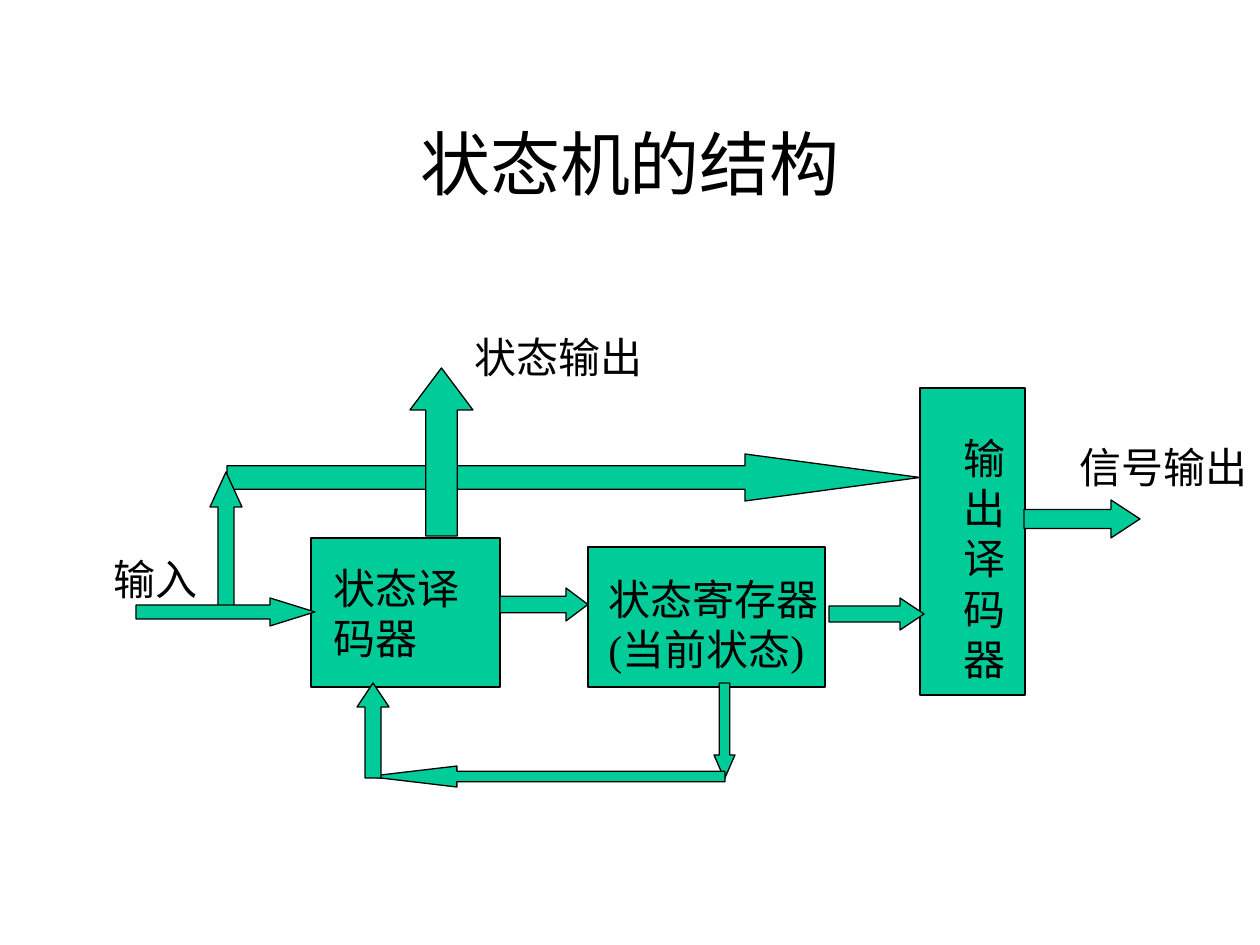
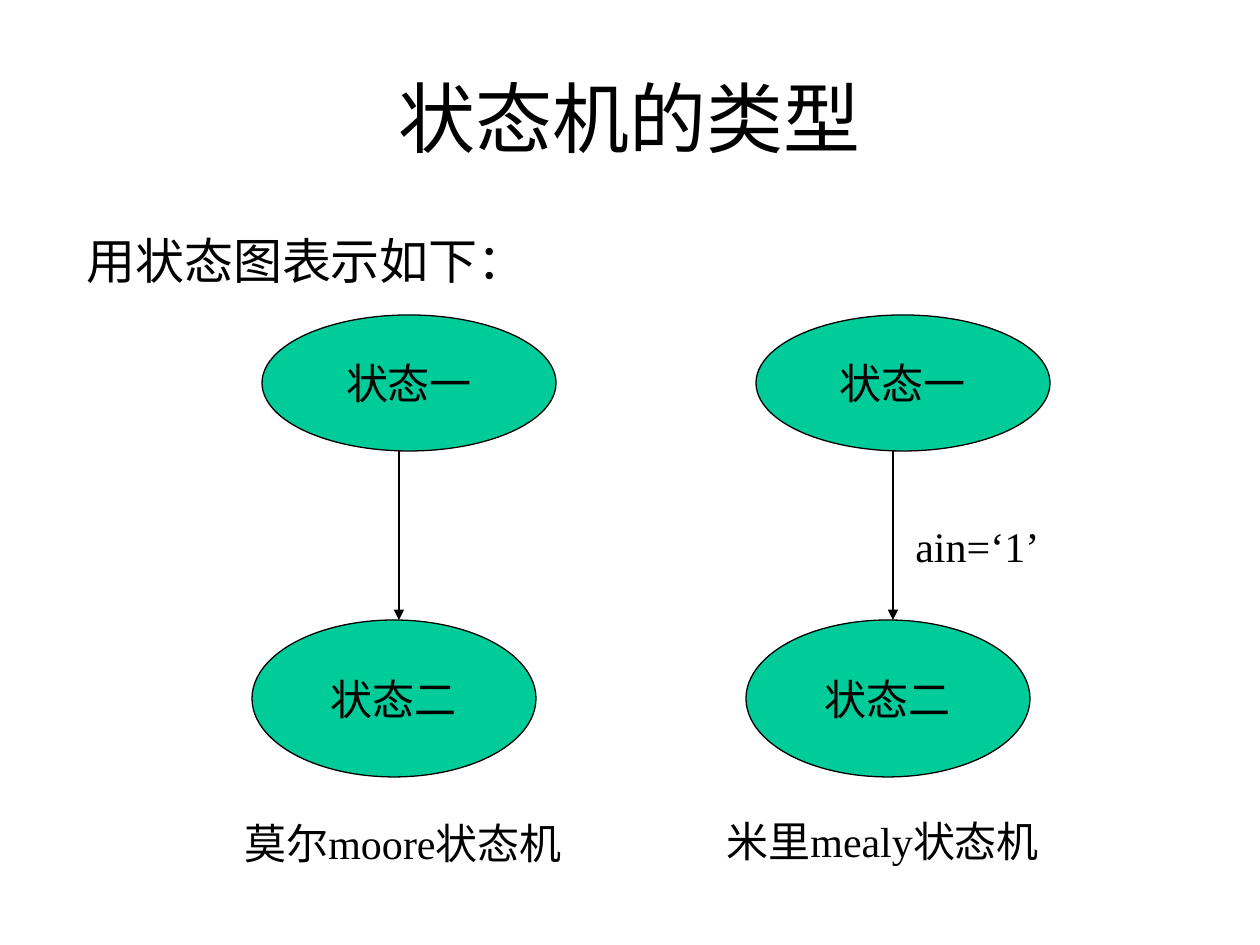
from pptx import Presentation
from pptx.dml.color import RGBColor
from pptx.enum.shapes import MSO_CONNECTOR, MSO_SHAPE as SHAPE
from pptx.enum.text import MSO_ANCHOR as ANCHOR, MSO_AUTO_SIZE as FIT, PP_ALIGN as ALIGN
from pptx.oxml.ns import qn
from pptx.util import Emu, Pt
from lxml.etree import SubElement

COLORS = {"fill": "00CC99", "ink": "000000", "back": "FFFFFF"}
FONT = "Times New Roman"
BODY_SIZE = 24
LINE_WIDTH = 0.75
EMU_PER_PX = 914400 / 126
SLIDE_W, SLIDE_H = 1260, 945


def px(n):
    return Emu(round(n * EMU_PER_PX))


def rgb(name):
    return RGBColor.from_string(COLORS[name])


def add_slide(prs):
    s = prs.slides.add_slide(prs.slide_layouts[6])
    s.background.fill.solid()
    s.background.fill.fore_color.rgb = rgb("back")
    return s


def set_text(sp, text, size=BODY_SIZE, align=ALIGN.LEFT, anchor=ANCHOR.TOP, wrap=False):
    tf = sp.text_frame
    tf.text = text
    tf.word_wrap = wrap
    tf.vertical_anchor = anchor
    for p in tf.paragraphs:
        p.alignment = align
        for r in p.runs:
            r.font.size = Pt(size)
            r.font.name = FONT
            r.font.color.rgb = rgb("ink")


def add_label(s, text, x, y, w, h, size=BODY_SIZE, wrap=False):
    sp = s.shapes.add_textbox(px(x), px(y), px(w), px(h))
    set_text(sp, text, size, wrap=wrap)
    sp.text_frame.auto_size = FIT.SHAPE_TO_FIT_TEXT


def add_title(s, text, y, size):
    sp = s.shapes.add_textbox(px(95), px(y), px(1070), px(158))
    set_text(sp, text, size, ALIGN.CENTER, ANCHOR.MIDDLE, wrap=True)


def add_block(s, kind, x, y, w, h):
    sp = s.shapes.add_shape(kind, px(x), px(y), px(w), px(h))
    sp.shadow.inherit = False
    sp.fill.solid()
    sp.fill.fore_color.rgb = rgb("fill")
    sp.line.color.rgb = rgb("ink")
    sp.line.width = Pt(LINE_WIDTH)
    return sp


def add_block_arrow(s, kind, x, y, w, h, head):
    sp = add_block(s, kind, x, y, w, h)
    sp.adjustments[0] = 0.5
    sp.adjustments[1] = head / min(w, h)


def add_state(s, text, x, y, w, h):
    sp = add_block(s, SHAPE.OVAL, x, y, w, h)
    set_text(sp, text, align=ALIGN.CENTER, anchor=ANCHOR.MIDDLE)


def add_transition(s, x, top, bottom):
    line = s.shapes.add_connector(MSO_CONNECTOR.STRAIGHT, px(x), px(top), px(x), px(bottom))
    line.line.color.rgb = rgb("ink")
    line.line.width = Pt(LINE_WIDTH)
    SubElement(line.line._get_or_add_ln(), qn("a:tailEnd"), type="triangle")
    SubElement(line._element.spPr, qn("a:effectLst"))


def build_structure(prs):
    s = add_slide(prs)
    add_block_arrow(s, SHAPE.RIGHT_ARROW, 227, 454, 693, 47, 175)
    add_title(s, "状态机的结构", 84, 40)

    for box in ((920, 388, 105, 307), (588, 547, 237, 140), (311, 538, 189, 149)):
        add_block(s, SHAPE.RECTANGLE, *box)

    add_label(s, "状态译\n码器", 321, 556, 151, 113)
    add_label(s, "状态寄存器\n(当前状态)", 596, 567, 241, 113)
    add_label(s, "输出译码器", 951, 426, 44, 265, wrap=True)
    add_label(s, "输入", 101, 547, 112, 63)
    add_label(s, "信号输出", 1067, 435, 193, 63)
    add_label(s, "状态输出", 462, 325, 193, 63)

    for arrow in (
        (SHAPE.UP_ARROW, 210, 472, 32, 137, 35),
        (SHAPE.RIGHT_ARROW, 500, 588, 88, 33, 22),
        (SHAPE.RIGHT_ARROW, 829, 598, 95, 32, 24),
        (SHAPE.DOWN_ARROW, 714, 683, 21, 96, 24),
        (SHAPE.LEFT_ARROW, 368, 766, 357, 21, 89),
        (SHAPE.UP_ARROW, 357, 683, 32, 95, 24),
        (SHAPE.RIGHT_ARROW, 1024, 500, 116, 38, 29),
        (SHAPE.UP_ARROW, 410, 368, 63, 168, 42),
        (SHAPE.RIGHT_ARROW, 136, 598, 179, 28, 45),
    ):
        add_block_arrow(s, *arrow)


def build_types(prs):
    s = add_slide(prs)
    add_title(s, "状态机的类型", 38, 44)
    add_label(s, "用状态图表示如下：", 74, 224, 465, 72, size=28)

    for left in (252, 746):
        add_state(s, "状态一", left + 10, 315, 294, 136)
        add_state(s, "状态二", left, 620, 284, 157)
        add_transition(s, left + 147, 451, 620)

    add_label(s, "ain=‘1’", 903, 514, 262, 63, wrap=True)
    add_label(s, "莫尔moore状态机", 232, 811, 363, 63)
    add_label(s, "米里mealy状态机", 714, 809, 358, 63)


def main():
    prs = Presentation()
    prs.slide_width, prs.slide_height = px(SLIDE_W), px(SLIDE_H)
    build_structure(prs)
    build_types(prs)
    prs.save("out.pptx")


if __name__ == "__main__":
    main()
